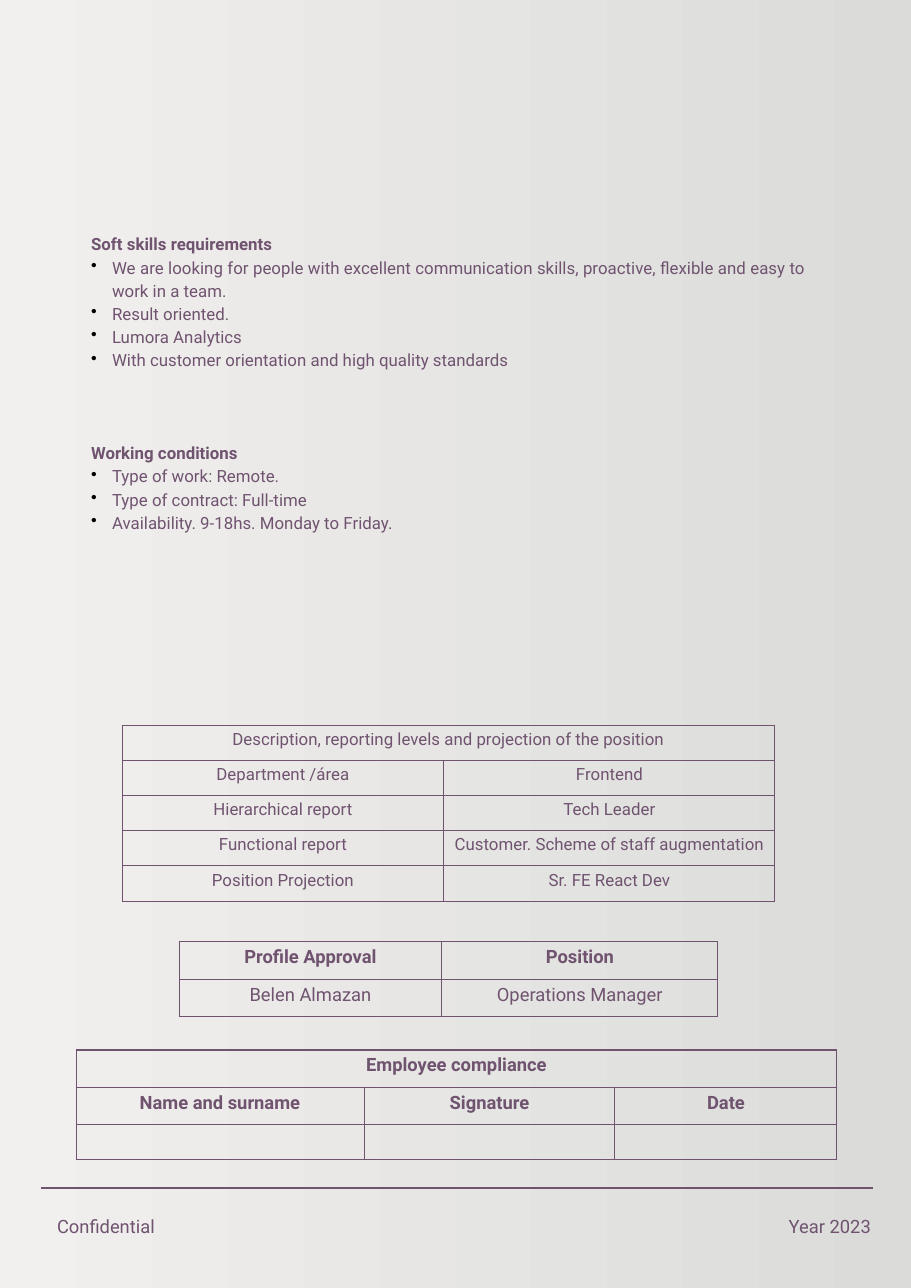
"""Build the second page of a job profile: requirements, conditions and sign-off tables."""
from lxml.etree import SubElement
from pptx import Presentation
from pptx.dml.color import RGBColor
from pptx.enum.shapes import MSO_CONNECTOR
from pptx.enum.text import MSO_ANCHOR, PP_ALIGN
from pptx.oxml.ns import qn
from pptx.util import Emu, Pt

PX = 914400 / 110.2
PLUM = RGBColor(0x6F, 0x53, 0x6F)
PALE = RGBColor(0xF2, 0xF0, 0xEF)
GREY = RGBColor(0xDB, 0xDB, 0xD9)
FONT = "Roboto"


def px(length):
    return Emu(round(length * PX))


def write(para, text, size=11, bold=False, align=PP_ALIGN.CENTER, spacing=1.15, before=0):
    para.alignment = align
    para.line_spacing = spacing
    para.space_before = Pt(before)
    span = para.add_run()
    span.text = text
    span.font.name = FONT
    span.font.size = Pt(size)
    span.font.bold = bold
    span.font.color.rgb = PLUM


deck = Presentation()
deck.slide_width, deck.slide_height = px(911), px(1288)
page = deck.slides.add_slide(deck.slide_layouts[6])

backdrop = page.background.fill
backdrop.gradient()
backdrop.gradient_angle = 0
for stop, color in zip(backdrop.gradient_stops, (PALE, GREY)):
    stop.color.rgb = color

footers = [
    ("Confidential", 43, 331, PP_ALIGN.LEFT),
    ("Year 2023", 756, 129, PP_ALIGN.RIGHT),
]
for text, left, width, align in footers:
    box = page.shapes.add_textbox(px(left), px(1204), px(width), px(65))
    frame = box.text_frame
    frame.word_wrap = True
    frame.margin_left = frame.margin_right = frame.margin_top = frame.margin_bottom = px(14)
    write(frame.paragraphs[0], text, size=12, align=align, spacing=1.0)

rule = page.shapes.add_connector(MSO_CONNECTOR.STRAIGHT, px(41), px(1188), px(873), px(1188))
rule.line.color.rgb = PLUM
rule.line.width = Pt(0.75)
SubElement(rule._element.spPr, qn("a:effectLst"))

sections = [
    ("Soft skills requirements", 0, [
        "We are looking for people with excellent communication skills, proactive, "
        "flexible and easy to work in a team.",
        "Result oriented.",
        "Lumora Analytics",
        "With customer orientation and high quality standards",
    ]),
    ("Working conditions", 45.5, [
        "Type of work: Remote.",
        "Type of contract: Full-time",
        "Availability. 9-18hs. Monday to Friday.",
    ]),
]
box = page.shapes.add_textbox(px(80), px(220), px(737), px(320))
frame = box.text_frame
frame.word_wrap = True
frame.margin_left = frame.margin_right = frame.margin_top = frame.margin_bottom = px(11)
para = frame.paragraphs[0]
for heading, before, items in sections:
    if before:
        para = frame.add_paragraph()
    write(para, heading, bold=True, align=PP_ALIGN.JUSTIFY, before=before)
    for item in items:
        para = frame.add_paragraph()
        write(para, item, align=PP_ALIGN.JUSTIFY)
        properties = para._p.get_or_add_pPr()
        properties.set("marL", str(px(21)))
        properties.set("indent", str(-px(21)))
        bullet_color = SubElement(properties, qn("a:buClr"))
        SubElement(bullet_color, qn("a:srgbClr"), val="000000")
        SubElement(properties, qn("a:buChar"), char="•")

tables = [
    {"left": 76, "top": 1050, "widths": [288, 251, 222], "heights": [37, 37, 35],
     "size": 12, "bold_rows": 2, "title": True, "top_line": 1,
     "rows": [["Employee compliance", "", ""],
              ["Name and surname", "Signature", "Date"],
              ["", "", ""]]},
    {"left": 179, "top": 942, "widths": [263, 276], "heights": [37, 37],
     "size": 12, "bold_rows": 1, "title": False, "top_line": 0.75,
     "rows": [["Profile Approval", "Position"],
              ["Belen Almazan", "Operations Manager"]]},
    {"left": 122, "top": 725, "widths": [322, 331], "heights": [35] * 5,
     "size": 11, "bold_rows": 0, "title": True, "top_line": 0.75,
     "rows": [["Description, reporting levels and projection of the position", ""],
              ["Department /área", "Frontend"],
              ["Hierarchical report", "Tech Leader"],
              ["Functional report", "Customer. Scheme of staff augmentation"],
              ["Position Projection", "Sr. FE React Dev"]]},
]
for plan in tables:
    widths, heights, rows = plan["widths"], plan["heights"], plan["rows"]
    table = page.shapes.add_table(len(rows), len(widths), px(plan["left"]), px(plan["top"]),
                                  px(sum(widths)), px(sum(heights))).table
    table.first_row = table.horz_banding = False
    for column, width in zip(table.columns, widths):
        column.width = px(width)
    for row, height in zip(table.rows, heights):
        row.height = px(height)
    if plan["title"]:
        table.cell(0, 0).merge(table.cell(0, len(widths) - 1))
    for row_number, texts in enumerate(rows):
        for column_number, text in enumerate(texts):
            cell = table.cell(row_number, column_number)
            cell.vertical_anchor = MSO_ANCHOR.BOTTOM
            cell.margin_left = cell.margin_right = cell.margin_top = px(1)
            cell.margin_bottom = px(11)
            para = cell.text_frame.paragraphs[0]
            if text:
                write(para, text, size=plan["size"], bold=row_number < plan["bold_rows"])
            else:
                SubElement(para._p, qn("a:endParaRPr"), sz="1000")
            for side in ("L", "R", "T", "B"):
                thick = side == "T" and row_number == 0
                weight = Pt(plan["top_line"] if thick else 0.75)
                border = SubElement(cell._tc.get_or_add_tcPr(), qn(f"a:ln{side}"), w=str(weight))
                paint = SubElement(border, qn("a:solidFill"))
                SubElement(paint, qn("a:srgbClr"), val=str(PLUM))
            cell.fill.background()

deck.save("out.pptx")
